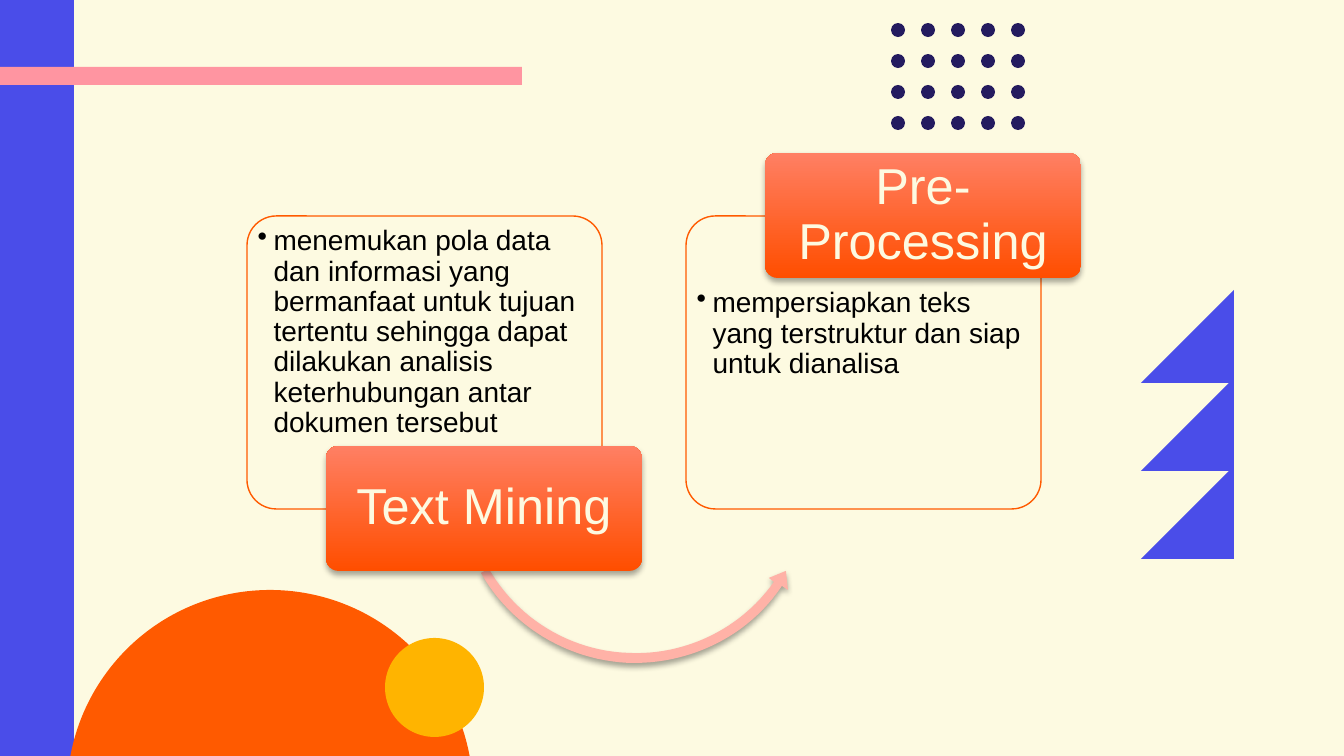
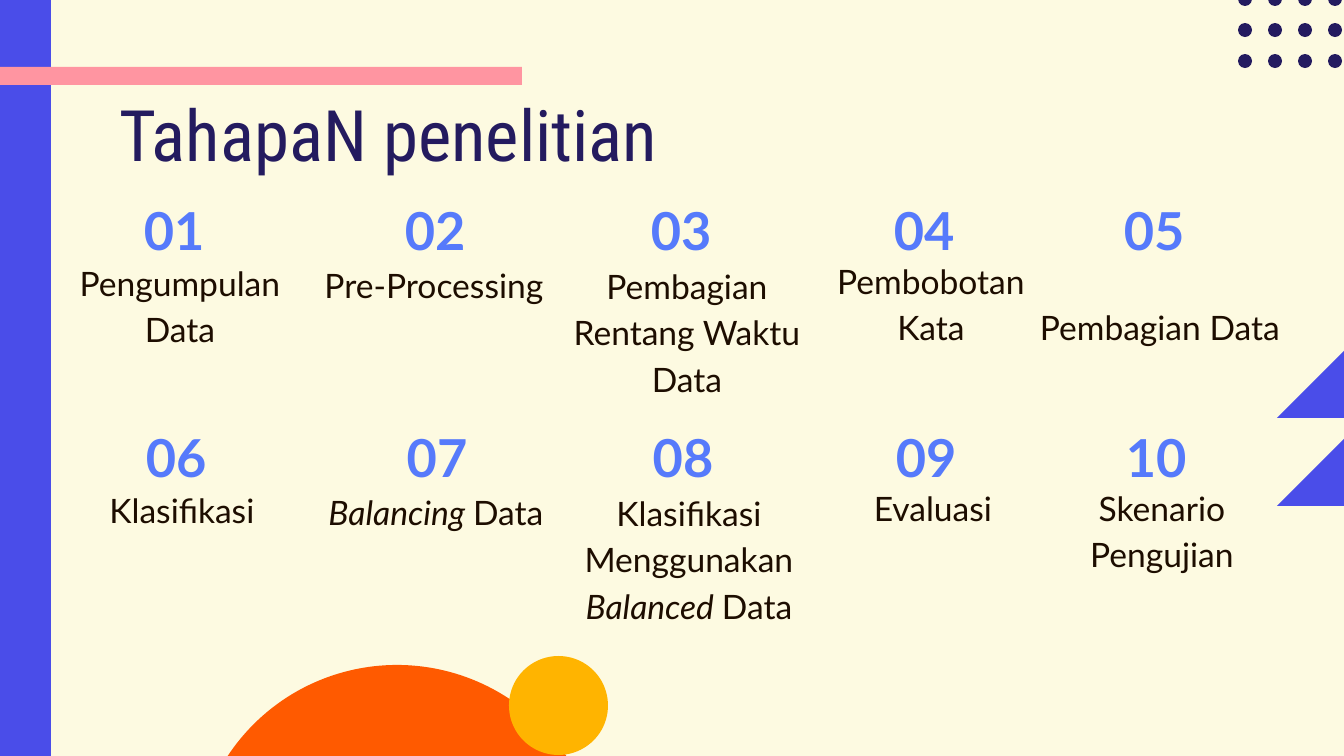
from lxml.etree import SubElement
from pptx import Presentation
from pptx.dml.color import RGBColor as Rgb
from pptx.enum.shapes import MSO_SHAPE as Preset
from pptx.enum.text import MSO_ANCHOR as Anchor, MSO_AUTO_SIZE as AutoSize, PP_ALIGN as Align
from pptx.oxml.ns import qn
from pptx.util import Emu, Pt

SCALE = 914400 / 134.4
WIDTH, HEIGHT = 1344, 756
COLORS = {
    "cream": "FDFAE1", "blue": "4A4DE9", "orange": "FF5A00", "pink": "FF95A1",
    "amber": "FFB400", "navy": "241B5F", "salmon": "FFB2A7", "deep": "FF4E00",
    "coral": "FF7F63", "black": "000000", "sky": "567AFB", "brown": "1D0D00",
}
STYLES = {
    "title": {
        "color": "navy", "margins": (13, 7, 13, 7),
        "frame": {"vertical_anchor": Anchor.BOTTOM},
        "para": {"alignment": Align.LEFT, "line_spacing": 0.9},
        "font": {"name": "Roboto Condensed", "size": Pt(38), "bold": False},
    },
    "panel": {
        "color": "black", "margins": (2, 2, 2, 2),
        "frame": {"vertical_anchor": Anchor.TOP},
        "para": {"alignment": Align.LEFT, "line_spacing": 0.9},
        "font": {"name": "Arial", "size": Pt(15)},
    },
    "heading": {
        "color": "cream", "margins": (8, 5, 8, 5),
        "frame": {"vertical_anchor": Anchor.MIDDLE},
        "para": {"alignment": Align.CENTER, "line_spacing": 0.9},
        "font": {"name": "Arial", "size": Pt(27)},
    },
    "number": {
        "color": "sky", "margins": (13, 13, 13, 13),
        "frame": {"vertical_anchor": Anchor.MIDDLE},
        "para": {"alignment": Align.CENTER},
        "font": {"name": "Lato", "size": Pt(28), "bold": True},
    },
    "caption": {
        "color": "brown", "margins": (13, 13, 13, 13),
        "frame": {"vertical_anchor": Anchor.TOP},
        "para": {"alignment": Align.CENTER, "line_spacing": 1.15},
        "font": {"name": "Lato", "size": Pt(18)},
    },
}
COLUMNS = [(60, 44, 244), (321, 298, 246), (567, 551, 247), (810, 795, 242), (1040, 1024, 242)]
STAGES = [
    [
        [("Pengumpulan Data", False)],
        [("Pre-Processing", False)],
        [("Pembagian Rentang Waktu Data", False)],
        [("Pembobotan Kata", False)],
        [("Pembagian Data", False)],
    ],
    [
        [("Klasifikasi", False)],
        [("Balancing ", True), ("Data", False)],
        [("Klasifikasi Menggunakan ", False), ("Balanced ", True), ("Data", False)],
        [("Evaluasi", False)],
        [("Skenario Pengujian", False)],
    ],
]
ROW_PITCH, ROW_SHIFT, LINE = 227, 2, 46
LOWERED = (0, 4)
ARROW_START = (481, 573)
ARROW = [
    [(489, 569)],
    [(517, 618), (570, 651), (628, 653)],
    [(685, 656), (741, 629), (774, 582)],
    [(769, 578)], [(786, 571)], [(788, 590)], [(782, 586)],
    [(748, 637), (689, 665), (628, 663)],
    [(567, 660), (511, 626), (481, 573)],
]


def px(value):
    return Emu(round(value * SCALE))


def rgb(name):
    return Rgb.from_string(COLORS[name])


def assign(target, values):
    for name, value in values.items():
        setattr(target, name, value)


def place(*lengths):
    return [px(length) for length in lengths]


def paint(shape, color):
    shape.shadow.inherit = False
    shape.fill.solid()
    shape.fill.fore_color.rgb = rgb(color)
    shape.line.fill.background()


def draw(shapes, preset, color, *bounds):
    shape = shapes.add_shape(preset, *place(*bounds))
    paint(shape, color)
    return shape


def cast_shadow(shape):
    effects = shape._element.spPr.find(qn("a:effectLst"))
    shadow = SubElement(effects, qn("a:outerShdw"), blurRad="40000", dist="23000",
                        dir="5400000", rotWithShape="0")
    tone = SubElement(shadow, qn("a:srgbClr"), val=COLORS["black"])
    SubElement(tone, qn("a:alpha"), val="35000")


def add_bullet(para):
    props = para._p.get_or_add_pPr()
    props.set("marL", str(px(16)))
    props.set("indent", str(-px(16)))
    SubElement(SubElement(props, qn("a:buClr")), qn("a:srgbClr"), val=COLORS["black"])
    SubElement(props, qn("a:buChar"), char="•")


def write(box, style_name, runs, bullet=False):
    style = STYLES[style_name]
    frame = box.text_frame
    assign(frame, {"word_wrap": True, "auto_size": AutoSize.NONE, **style["frame"]})
    sides = ("margin_left", "margin_top", "margin_right", "margin_bottom")
    assign(frame, dict(zip(sides, place(*style["margins"]))))
    para = frame.paragraphs[0]
    if bullet:
        add_bullet(para)
    assign(para, style["para"])
    for text, italic in runs:
        span = para.add_run()
        span.text = text
        assign(span.font, {**style["font"], "italic": italic})
        span.font.color.rgb = rgb(style["color"])


def add_text(page, style_name, runs, *bounds):
    write(page.shapes.add_textbox(*place(*bounds)), style_name, runs)


def add_dots(page, left, top, columns, rows):
    group = page.shapes.add_group_shape()
    for row in range(rows):
        for column in range(columns):
            draw(group.shapes, Preset.FLOWCHART_CONNECTOR, "navy",
                 left + 30 * column, top + 31 * row, 14, 14)


def add_triangles(page, left, top, count):
    for index in range(count):
        triangle = draw(page.shapes, Preset.RIGHT_TRIANGLE, "blue", left, top + 88 * index, 93, 93)
        triangle._element.spPr.xfrm.set("flipH", "1")


def decorate(page, bar_left, circle, small_circle, dots, triangles):
    draw(page.shapes, Preset.FLOWCHART_PROCESS, "blue", bar_left, 0, 74, HEIGHT)
    draw(page.shapes, Preset.OVAL, "orange", *circle, 406, 406)
    draw(page.shapes, Preset.RECTANGLE, "pink", 0, 67, 522, 18)
    draw(page.shapes, Preset.OVAL, "amber", *small_circle, 99, 99)
    add_dots(page, *dots)
    add_triangles(page, *triangles)


def add_panel(page, left, text, text_top):
    panel = draw(page.shapes, Preset.ROUNDED_RECTANGLE, "cream", left, 216, 355, 293)
    panel.adjustments[0] = 0.1
    tone = panel._element.spPr.find(qn("a:solidFill")).find(qn("a:srgbClr"))
    SubElement(tone, qn("a:alpha"), val="90000")
    panel.line.color.rgb = rgb("orange")
    panel.line.width = Pt(0.75)
    write(panel, "panel", [(text, False)], bullet=True)
    panel.text_frame.margin_top = px(text_top)


def add_heading(page, left, top, text):
    heading = draw(page.shapes, Preset.ROUNDED_RECTANGLE, "deep", left, top, 316, 125)
    heading.adjustments[0] = 0.1
    heading.fill.gradient()
    heading.fill.gradient_angle = 90
    for stop, color in zip(heading.fill.gradient_stops, ("deep", "coral")):
        stop.color.rgb = rgb(color)
    cast_shadow(heading)
    write(heading, "heading", [(text, False)])


def bezier(start, first, second, end, steps=24):
    for step in range(1, steps + 1):
        t = step / steps
        weights = ((1 - t) ** 3, 3 * t * (1 - t) ** 2, 3 * t * t * (1 - t), t ** 3)
        yield tuple(sum(weight * point[axis] for weight, point in
                        zip(weights, (start, first, second, end))) for axis in (0, 1))


def add_curved_arrow(page):
    points = [ARROW_START]
    for segment in ARROW:
        points += segment if len(segment) == 1 else list(bezier(points[-1], *segment))
    outline = page.shapes.build_freeform(*place(*ARROW_START))
    outline.add_line_segments([place(*point) for point in points[1:]], close=True)
    arrow = outline.convert_to_shape()
    paint(arrow, "salmon")
    cast_shadow(arrow)


def build_concepts(deck):
    page = deck.slides.add_slide(deck.slide_layouts[6])
    decorate(page, 0, (67, 590), (385, 638), (891, 23, 5, 4), (1141, 290, 3))
    add_panel(page, 247, "menemukan pola data dan informasi yang bermanfaat untuk tujuan tertentu "
              "sehingga dapat dilakukan analisis keterhubungan antar dokumen tersebut", 2)
    add_curved_arrow(page)
    add_heading(page, 326, 446, "Text Mining")
    add_panel(page, 686, "mempersiapkan teks yang terstruktur dan siap untuk dianalisa", 64)
    add_heading(page, 765, 153, "Pre-Processing")


def build_stages(deck):
    page = deck.slides.add_slide(deck.slide_layouts[5])
    title = page.shapes.title
    assign(title, dict(zip(("left", "top", "width", "height"), place(106, 93, 566, 91))))
    write(title, "title", [("TahapaN penelitian", False)])
    decorate(page, -23, (194, 665), (509, 656), (1238, -8, 4, 3), (1277, 325, 2))
    for row, captions in enumerate(STAGES):
        shift, drop = ROW_SHIFT * row, ROW_PITCH * row
        for column, (number_left, caption_left, caption_top) in enumerate(COLUMNS):
            number = f"{row * len(COLUMNS) + column + 1:02d}"
            lowered = LINE if (row, column) == LOWERED else 0
            add_text(page, "number", [(number, False)], number_left + shift, 167 + drop, 228, 125)
            add_text(page, "caption", captions[column], caption_left + shift,
                     caption_top + drop + lowered, 272, 116)


def main():
    deck = Presentation()
    assign(deck, {"slide_width": px(WIDTH), "slide_height": px(HEIGHT)})
    backdrop = deck.slide_master.background.fill
    backdrop.solid()
    backdrop.fore_color.rgb = rgb("cream")
    build_concepts(deck)
    build_stages(deck)
    deck.save("out.pptx")


if __name__ == "__main__":
    main()
